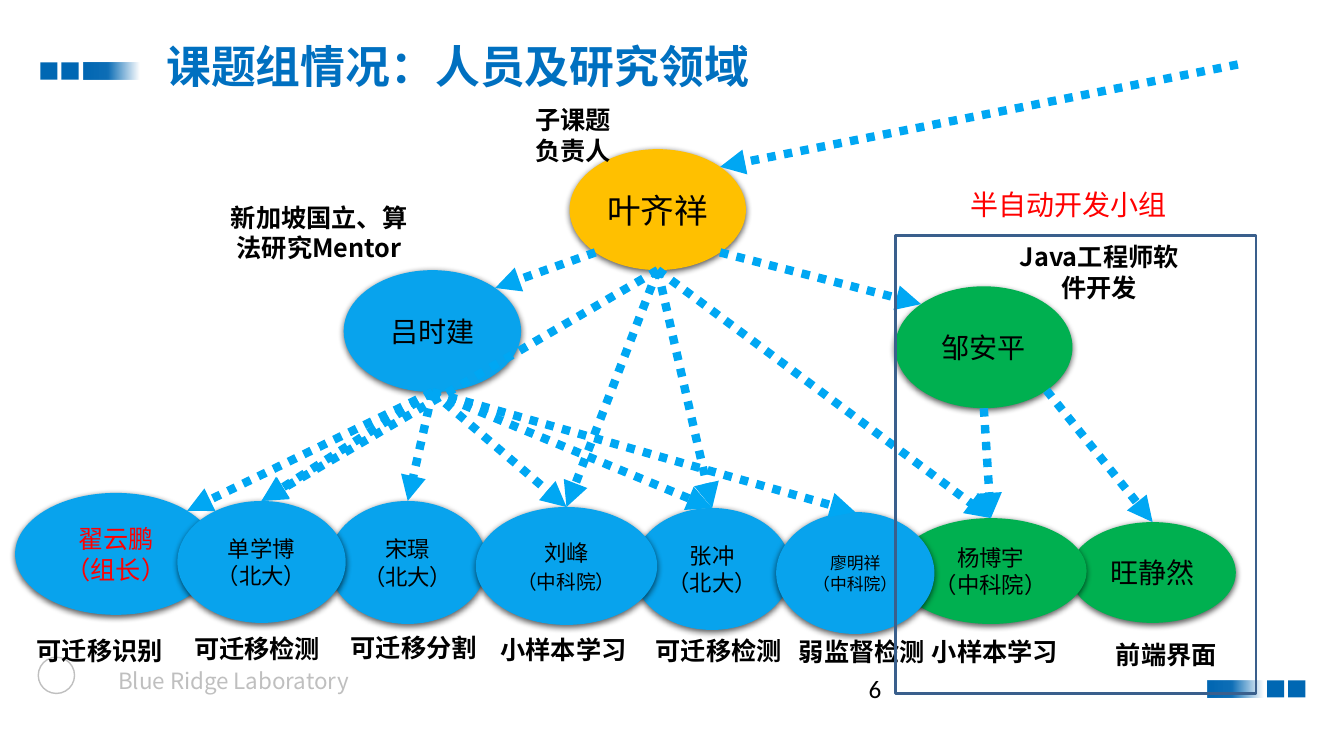
from dataclasses import dataclass
from math import cos, radians, sin

from pptx import Presentation
from pptx.dml.color import RGBColor
from pptx.enum.dml import MSO_LINE
from pptx.enum.shapes import MSO_CONNECTOR, MSO_SHAPE
from pptx.enum.text import MSO_ANCHOR, PP_ALIGN
from pptx.oxml import parse_xml
from pptx.oxml.ns import nsdecls, qn
from pptx.util import Inches, Pt


@dataclass(frozen=True)
class Theme:
    blue: str = "08A3ED"
    green: str = "00B050"
    gold: str = "FFC000"
    arrow: str = "00A7F3"
    title: str = "0070C0"
    brand: str = "0067B3"
    frame: str = "3A5F8C"
    gray: str = "BFBFBF"
    black: str = "000000"
    red: str = "FF0000"
    sans: str = "Noto Sans CJK SC"
    body: str = "Calibri"
    title_size: int = 32
    lead_size: int = 24
    name_size: int = 20
    label_size: int = 18
    member_size: int = 16
    small_size: int = 14
    tiny_size: int = 12
    arrow_width: int = 6
    line_height: float = 1.22
    title_line_height: float = 1.12


THEME = Theme()
CELL = 0.1  # inches per column and per row of the page grid
COLUMNS, ROWS = 133.33, 75

TITLE = ("课题组情况：人员及研究领域", (15.5, 3.7, 109.1, 7.5))

# lines, (column, row, width, height), fill, text colour, size of each line
PEOPLE = [
    (["叶齐祥"], (56.5, 14.8, 17.5, 12), THEME.gold, THEME.black, THEME.lead_size),
    (["邹安平"], (88.8, 28.4, 17.6, 12.1), THEME.green, THEME.black, THEME.name_size),
    (["宋璟", "（北大）"], (32.6, 49.7, 15.7, 12.2), THEME.blue, THEME.black, THEME.member_size),
    (["吕时建"], (34.1, 26.8, 17.6, 12.1), THEME.blue, THEME.black, THEME.name_size),
    (["翟云鹏", "（组长）"], (1.5, 48.9, 20, 12.1), THEME.blue, THEME.red, THEME.label_size),
    (["旺静然"], (106.1, 51.8, 16.5, 10), THEME.green, THEME.black, THEME.name_size),
    (["杨博宇", "（中科院）"], (88.8, 51.4, 19, 10.5), THEME.green, THEME.black, THEME.member_size),
    (["张冲", "（北大）"], (62.8, 50.4, 15.7, 12.1), THEME.blue, THEME.black, THEME.member_size),
    (["刘峰", "（中科院）"], (47.2, 50.3, 18, 11.7), THEME.blue, THEME.black, THEME.member_size),
    (["单学博", "（北大）"], (17.6, 49.7, 16.7, 12.1), THEME.blue, THEME.black, THEME.member_size),
    (["廖明祥", "（中科院）"], (77, 50.8, 15.7, 12.1), THEME.blue, THEME.black, THEME.tiny_size),
]

# Each end is a person and the angle of the rim point, clockwise from the right
BOTTOM, TOP = 90, 270
BOTTOM_RIGHT, BOTTOM_LEFT, TOP_LEFT, TOP_RIGHT = 45, 135, 225, 315
ARROWS = [
    ("叶齐祥", BOTTOM_LEFT, "吕时建", TOP_RIGHT),
    ("叶齐祥", BOTTOM_RIGHT, "邹安平", TOP_LEFT),
    ("邹安平", BOTTOM, "杨博宇", TOP),
    ("邹安平", BOTTOM_RIGHT, "旺静然", TOP),
    ("吕时建", BOTTOM, "翟云鹏", TOP_RIGHT),
    *[("吕时建", BOTTOM, member, TOP) for member in ("单学博", "宋璟", "刘峰", "张冲", "廖明祥")],
    *[("叶齐祥", BOTTOM, member, TOP) for member in ("单学博", "刘峰", "张冲", "杨博宇")],
]
OUTSIDE_START = (122.8, 6.4)

LABELS = [
    (["可迁移识别"], (-1.5, 62.5, 22.8, 4)),
    (["可迁移检测"], (16.6, 62.3, 17.8, 4)),
    (["可迁移分割"], (33.4, 62.2, 15.3, 4)),
    (["小样本学习"], (47.4, 62.4, 17, 4)),
    (["可迁移检测"], (62.8, 62.5, 17, 4)),
    (["弱监督检测"], (77, 62.6, 17, 4)),
    (["小样本学习"], (90.2, 62.6, 17, 4)),
    (["前端界面"], (107.2, 62.9, 17, 4)),
    (["新加坡国立、算法研究Mentor"], (21.5, 19.5, 20.3, 7.1)),
    (["子课题", "负责人"], (49.1, 9.8, 15.5, 7.1)),
    (["Java工程师软件开发"], (99.3, 23.4, 19.5, 7.1)),
]

TEAM_FRAME = (88.8, 23.4, 35.8, 45.4)
TEAM_NAME = ("半自动开发小组", (95.3, 18.1, 24.2, 4.4))
FOOTER = ("Blue Ridge Laboratory", (8.1, 65.6, 27.5, 3.7))
PAGE_NUMBER = ("6", (85.2, 66.3, 30, 4))
EMBLEM = (3.8, 65.2, 3.6, 3.6)
SQUARES = [(4, 6.2), (6.1, 6.2), (125.7, 67.5), (127.8, 67.5)]
FADING_BARS = [(8.3, 6.2), (119.8, 67.5)]
SQUARE_SIDE, BAR_WIDTH = 1.7, 5.5
BAR_STOPS = [(0, 100), (44, 94), (100, 0)]  # position and opacity, percent


def grid(*lengths):
    return [Inches(length * CELL) for length in lengths]


def color(code):
    return RGBColor.from_string(code)


def write(shape, lines, size, ink, font, bold=False, align=PP_ALIGN.CENTER,
          spacing=THEME.line_height):
    frame = shape.text_frame
    frame.text = "\n".join(lines)
    for para in frame.paragraphs:
        para.alignment = align
        para.line_spacing = Pt(size * spacing)
        para.space_before = Pt(0)
        for span in para.runs:
            span.font.size = Pt(size)
            span.font.bold = bold
            span.font.name = font
            span.font.color.rgb = color(ink)
            east_asian = parse_xml(f'<a:ea {nsdecls("a")} typeface="{THEME.sans}"/>')
            span.font._element.find(qn("a:latin")).addnext(east_asian)


def add_text(page, lines, place, size, ink, font=THEME.sans, wrap=True, **style):
    box = page.shapes.add_textbox(*grid(*place))
    box.text_frame.word_wrap = wrap
    write(box, lines, size, ink, font, **style)


def add_plain_shape(page, preset, place, fill=None, line=None, width=1):
    shape = page.shapes.add_shape(preset, *grid(*place))
    shape.shadow.inherit = False
    if fill:
        shape.fill.solid()
        shape.fill.fore_color.rgb = color(fill)
    else:
        shape.fill.background()
    if line:
        shape.line.color.rgb = color(line)
        shape.line.width = Pt(width)
    else:
        shape.line.fill.background()
    return shape


def add_person(page, lines, place, fill, ink, size):
    oval = add_plain_shape(page, MSO_SHAPE.OVAL, place, fill)
    oval._element.spPr.find(qn("a:effectLst")).append(parse_xml(
        f'<a:outerShdw {nsdecls("a")} blurRad="{Pt(4.5)}" dist="{Pt(1.5)}" dir="5400000" '
        f'rotWithShape="0"><a:srgbClr val="{THEME.black}"><a:alpha val="63000"/></a:srgbClr>'
        '</a:outerShdw>'))
    oval.text_frame.vertical_anchor = MSO_ANCHOR.MIDDLE
    write(oval, lines, size, ink, THEME.body)
    return oval


def add_arrow(page, start, end):
    arrow = page.shapes.add_connector(MSO_CONNECTOR.STRAIGHT, *grid(*start, *end))
    arrow.line.color.rgb = color(THEME.arrow)
    arrow.line.width = Pt(THEME.arrow_width)
    arrow.line.dash_style = MSO_LINE.ROUND_DOT
    arrow.line._get_or_add_ln().append(parse_xml(f'<a:tailEnd {nsdecls("a")} type="triangle"/>'))
    arrow._element.spPr.append(parse_xml(f'<a:effectLst {nsdecls("a")}/>'))


def rim_point(place, angle):
    left, top, width, height = place
    return (left + width / 2 * (1 + cos(radians(angle))),
            top + height / 2 * (1 + sin(radians(angle))))


def add_fading_bar(page, place):
    bar = add_plain_shape(page, MSO_SHAPE.RECTANGLE, place)
    bar.fill.gradient()
    bar.fill.gradient_angle = 0
    stops = bar._element.spPr.find(qn("a:gradFill")).find(qn("a:gsLst"))
    for stop in list(stops):
        stops.remove(stop)
    for position, opacity in BAR_STOPS:
        stops.append(parse_xml(
            f'<a:gs {nsdecls("a")} pos="{position * 1000}"><a:srgbClr val="{THEME.brand}">'
            f'<a:alpha val="{opacity * 1000}"/></a:srgbClr></a:gs>'))


def add_page_furniture(page):
    add_plain_shape(page, MSO_SHAPE.OVAL, EMBLEM, line=THEME.gray)
    for corner in SQUARES:
        add_plain_shape(page, MSO_SHAPE.RECTANGLE, (*corner, SQUARE_SIDE, SQUARE_SIDE), THEME.brand)
    for corner in FADING_BARS:
        add_fading_bar(page, (*corner, BAR_WIDTH, SQUARE_SIDE))
    add_text(page, [FOOTER[0]], FOOTER[1], THEME.member_size, THEME.gray, wrap=False,
             align=PP_ALIGN.RIGHT)
    add_text(page, [PAGE_NUMBER[0]], PAGE_NUMBER[1], THEME.label_size, THEME.black, THEME.body,
             align=PP_ALIGN.LEFT)


def main():
    deck = Presentation()
    deck.slide_width, deck.slide_height = grid(COLUMNS, ROWS)
    page = deck.slides.add_slide(deck.slide_layouts[5])
    title = page.shapes.title
    title.left, title.top, title.width, title.height = grid(*TITLE[1])
    title.text_frame.vertical_anchor = MSO_ANCHOR.TOP
    write(title, [TITLE[0]], THEME.title_size, THEME.title, THEME.sans, bold=True,
          align=PP_ALIGN.LEFT, spacing=THEME.title_line_height)

    add_page_furniture(page)
    places = {lines[0]: place for lines, place, *_ in PEOPLE}
    ovals = {person[0][0]: add_person(page, *person) for person in PEOPLE}
    ovals["刘峰"].text_frame.paragraphs[1].runs[0].font.size = Pt(THEME.small_size)
    for source, source_angle, target, target_angle in ARROWS:
        add_arrow(page, rim_point(places[source], source_angle),
                  rim_point(places[target], target_angle))
    add_arrow(page, OUTSIDE_START, rim_point(places["叶齐祥"], TOP_RIGHT))

    for lines, place in LABELS:
        add_text(page, lines, place, THEME.label_size, THEME.black, bold=True)
    add_plain_shape(page, MSO_SHAPE.RECTANGLE, TEAM_FRAME, line=THEME.frame, width=2)
    add_text(page, [TEAM_NAME[0]], TEAM_NAME[1], THEME.name_size, THEME.red, align=PP_ALIGN.LEFT)
    deck.save("out.pptx")


if __name__ == "__main__":
    main()
